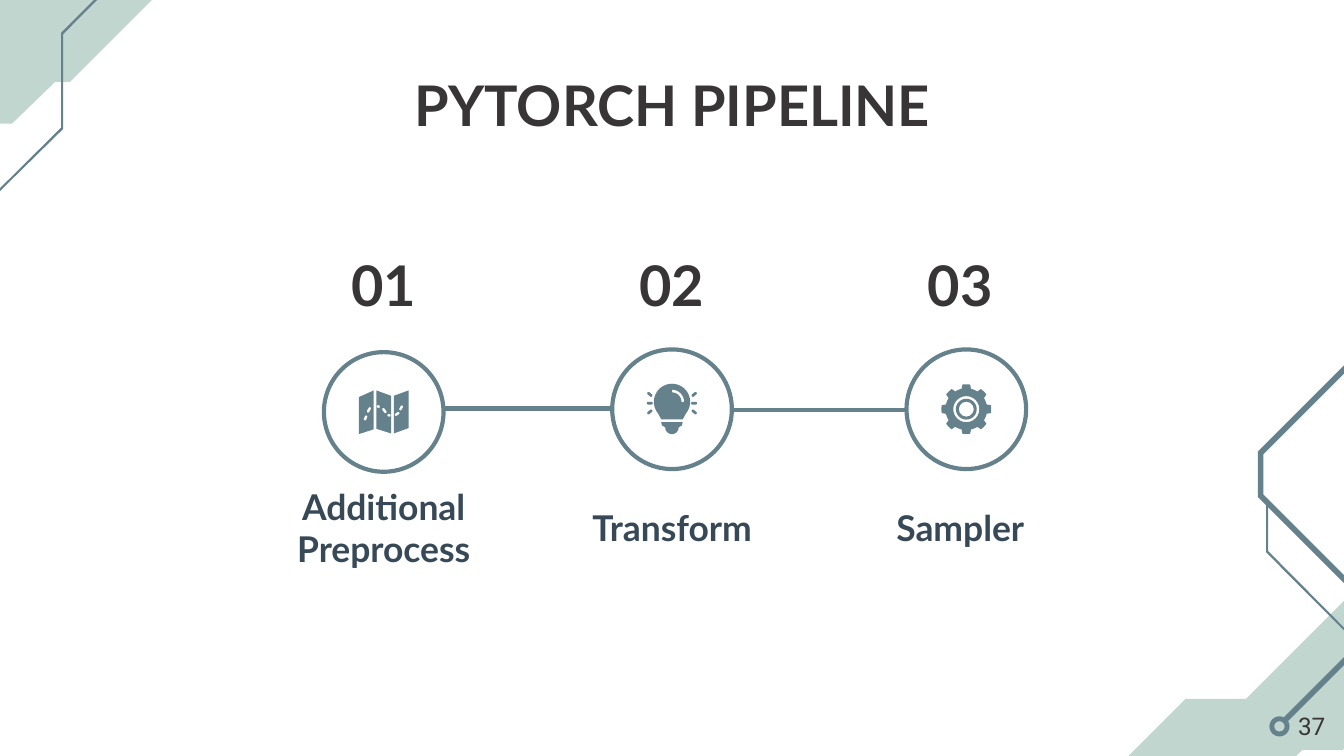
from math import cos, radians, sin

from pptx import Presentation
from pptx.dml.color import RGBColor
from pptx.enum.shapes import MSO_CONNECTOR, MSO_SHAPE
from pptx.enum.text import MSO_ANCHOR, MSO_AUTO_SIZE, PP_ALIGN
from pptx.oxml.ns import qn
from pptx.util import Inches, Pt

# All lengths are counted in cells of a grid with 100 columns and 56.25 rows.
COLS, ROWS = 100, 56.25
MIDDLE, STEP_GAP = COLS / 2, 21.45
COLORS = {"ink": "383536", "label": "374957", "slate": "64818C", "mint": "C1D6CE"}
CIRCLE = 8.9
# number, label, circle centre
STEPS = [
    ("01", "Additional Preprocess", (28.55, 30.65)),
    ("02", "Transform", (50, 30.45)),
    ("03", "Sampler", (71.9, 30.45)),
]
CORNERS = [
    ("mint", [(11.9, -7.2), (6.5, -1.8), (1.6, -1.8), (-9.4, 9.2), (0.9, 9.2),
              (4.1, 6.1), (5.2, 6.1), (18.5, -7.2)]),
    ("slate", [(12.1, -5.1), (4.55, 2.45), (4.55, 9.5), (-1.2, 15.2), (-1.1, 15.3),
               (4.7, 9.6), (4.7, 2.55), (12.2, -5)]),
    ("mint", [(102.7, 42), (92.7, 52), (88.2, 52), (82.5, 57.7), (82.5, 60.3),
              (78.9, 63.9), (88.7, 63.9), (96.9, 55.8), (99.9, 55.8),
              (105.8, 49.9), (105.8, 48.3), (112.1, 42)]),
    ("slate", [(121.8, 13.2), (112.1, 22.9), (104.3, 22.9), (93.6, 33.6), (93.6, 37),
               (100.1, 43.5), (100.1, 48.8), (95.3, 53.6), (95.6, 53.9),
               (100.5, 49), (100.5, 43.3), (94, 36.8), (94, 33.8),
               (104.5, 23.3), (112.2, 23.3), (122.1, 13.4)]),
    ("slate", [(94.2, 37.4), (94.2, 41.1), (100.2, 47.1), (100.3, 47),
               (94.35, 41), (94.35, 37.4)]),
]


def cells(n):
    return Inches(n / 10)


def rgb(name):
    return RGBColor.from_string(COLORS[name])


def arc(cx, cy, r, start, end, steps=24):
    """Points along an arc; degrees run clockwise from the right."""
    angles = [radians(start + (end - start) * i / steps) for i in range(steps + 1)]
    return [(cx + r * cos(a), cy + r * sin(a)) for a in angles]


def bar(cx, cy, length, angle, thick=0.2):
    """Outline of a short dash with rounded ends, turned by angle."""
    a, half = radians(angle), (length - thick) / 2
    dx, dy = half * cos(a), half * sin(a)
    return (arc(cx + dx, cy + dy, thick / 2, angle - 90, angle + 90, 6)
            + arc(cx - dx, cy - dy, thick / 2, angle + 90, angle + 270, 6))


def add_outline(s, color, outline, *holes):
    points = [[(cells(x), cells(y)) for x, y in ring] for ring in (outline, *holes)]
    builder = s.shapes.build_freeform(*points[0][0], scale=1.0)
    builder.add_line_segments(points[0][1:], close=True)
    for hole in points[1:]:
        builder.move_to(*hole[0])
        builder.add_line_segments(hole[1:], close=True)
    sp = builder.convert_to_shape()
    sp.shadow.inherit = False
    sp.fill.solid()
    sp.fill.fore_color.rgb = rgb(color)
    sp.line.fill.background()


def add_round(s, kind, center, size):
    (x, y), d = center, cells(size)
    sp = s.shapes.add_shape(kind, cells(x - size / 2), cells(y - size / 2), d, d)
    sp.shadow.inherit = False
    return sp


def add_ring(s, center, size, share):
    """Filled ring whose band is the given share of its diameter."""
    sp = add_round(s, MSO_SHAPE.DONUT, center, size)
    sp.adjustments[0] = share
    sp.fill.solid()
    sp.fill.fore_color.rgb = rgb("slate")
    sp.line.fill.background()


def style_line(line):
    line.color.rgb = rgb("slate")
    line.width = Pt(2.25)


def add_circle(s, center):
    sp = add_round(s, MSO_SHAPE.OVAL, center, CIRCLE)
    sp.fill.background()
    style_line(sp.line)


def add_link(s, x, y, length):
    line = s.shapes.add_connector(MSO_CONNECTOR.STRAIGHT, cells(x), cells(y),
                                  cells(x + length), cells(y))
    style_line(line.line)
    pr = line._element.spPr
    pr.append(pr.makeelement(qn("a:effectLst"), {}))


def put_text(sp, text, box, size, color="ink", font="Lato", bold=True,
             align=PP_ALIGN.CENTER, anchor=MSO_ANCHOR.MIDDLE):
    sp.left, sp.top, sp.width, sp.height = map(cells, box)
    tf = sp.text_frame
    tf.word_wrap, tf.auto_size, tf.vertical_anchor = True, MSO_AUTO_SIZE.NONE, anchor
    tf.margin_left = tf.margin_right = tf.margin_top = tf.margin_bottom = cells(1)
    p = tf.paragraphs[0]
    p.alignment = align
    r = p.add_run()
    r.text = text
    r.font.name, r.font.size, r.font.bold = font, Pt(size), bold
    r.font.color.rgb = rgb(color)


def add_text(s, text, box, size, **fmt):
    put_text(s.shapes.add_textbox(0, 0, 0, 0), text, box, size, **fmt)


def add_map(s, cx, cy):
    # left edge, top left, top right, bottom right, bottom left, dashes
    panels = [
        (-1.85, -1.1, -1.6, 1.3, 1.65, [(-1.1, -0.15, 0.45, -60), (-1.35, 0.45, 0.4, -65)]),
        (-0.55, -1.6, -1.2, 1.6, 1.25, [(-0.4, -0.4, 0.25, 15), (0.05, -0.1, 0.45, 55),
                                        (0.4, 0.25, 0.25, 15)]),
        (0.75, -1.2, -1.6, 1.2, 1.6, [(1.3, -0.3, 0.4, -60), (1, 0.15, 0.4, -35)]),
    ]
    for left, tl, tr, br, bl, dashes in panels:
        x, right = cx + left, cx + left + 1.1
        add_outline(s, "slate",
                    [(x, cy + tl), (right, cy + tr), (right, cy + br), (x, cy + bl)],
                    *[bar(cx + dx, cy + dy, n, a) for dx, dy, n, a in dashes])


def add_bulb(s, cx, cy):
    top = cy - 0.55
    glass = arc(cx, top, 1.35, 140, 400) + [(cx + 0.8, cy + 0.75), (cx - 0.8, cy + 0.75)]
    shine = arc(cx, top, 0.9, -90, 0) + arc(cx, top, 0.7, 0, -90)
    add_outline(s, "slate", glass, shine)
    add_outline(s, "slate", [(cx - 0.8, cy + 0.95), (cx + 0.8, cy + 0.95),
                             (cx + 0.75, cy + 1.2)]
                + arc(cx, cy + 1.35, 0.5, 0, 180) + [(cx - 0.75, cy + 1.2)])
    for side in (-1, 1):
        for row in (-1, 0, 1):
            add_outline(s, "slate", bar(cx + side * 1.65, cy - 0.45 + row * 0.65,
                                        0.45, side * row * 40))


def add_gear(s, cx, cy):
    teeth = []
    for angle in range(0, 360, 45):
        teeth += arc(cx, cy, 1.85, angle - 9, angle + 9, 4)
        teeth += arc(cx, cy, 1.55, angle + 13, angle + 32, 4)
    add_outline(s, "slate", teeth, arc(cx, cy, 0.97, 360, 0))
    add_ring(s, (cx, cy), 1.55, 0.14)


def main():
    prs = Presentation()
    prs.slide_width, prs.slide_height = cells(COLS), cells(ROWS)
    s = prs.slides.add_slide(prs.slide_layouts[5])
    for color, outline in CORNERS:
        add_outline(s, color, outline)
    add_ring(s, (95.2, 54.05), 1.5, 0.24)
    put_text(s.shapes.title, "PYTORCH PIPELINE", (7.9, 4.25, 84.3, 6.5), 30,
             anchor=MSO_ANCHOR.TOP)

    for i, (number, label, center) in enumerate(STEPS):
        x = MIDDLE + (i - 1) * STEP_GAP
        add_text(s, number, (x - 8.45, 18.25, 16.9, 5.8), 30)
        add_text(s, label, (x - 9.95, 37.2, 19.9, 4.1), 19, color="label")
        add_circle(s, center)
    for (_, _, center), add_icon in zip(STEPS, (add_map, add_bulb, add_gear)):
        add_icon(s, *center)
    add_link(s, 33, 30.4, 12.5)
    add_link(s, 54.6, 30.5, 12.8)
    add_text(s, "37", (93.6, 51.95, 6, 4.3), 13, font="Roboto", bold=False,
             align=PP_ALIGN.RIGHT, anchor=MSO_ANCHOR.TOP)
    prs.save("out.pptx")


if __name__ == "__main__":
    main()
